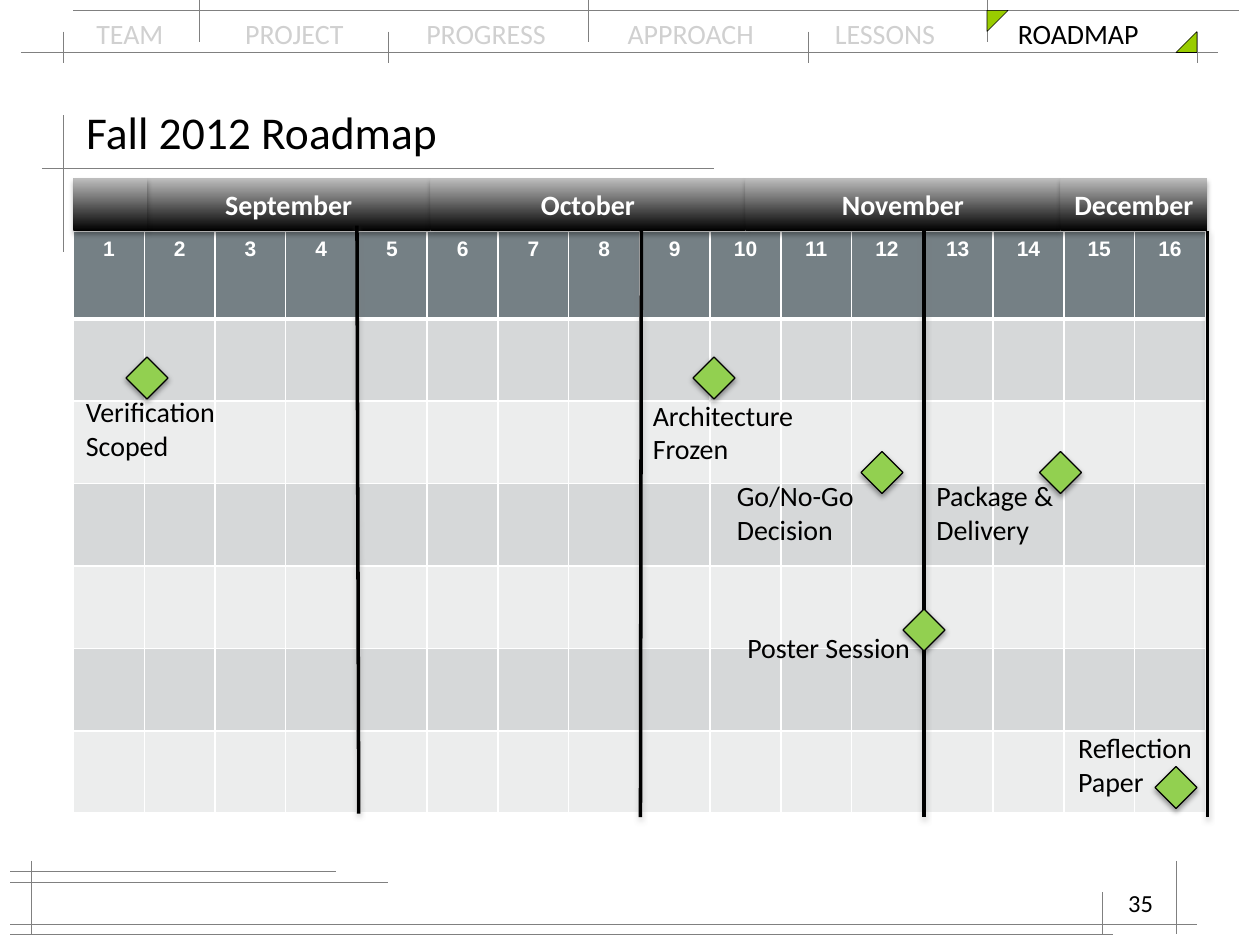
import pptx
import pptx.util
import pptx.dml.color
import pptx.enum.shapes
import pptx.enum.text
import pptx.oxml
import pptx.oxml.ns

Pt = pptx.util.Pt
SHAPE = pptx.enum.shapes.MSO_SHAPE
ALIGN = pptx.enum.text.PP_ALIGN
ANCHOR = pptx.enum.text.MSO_ANCHOR
NAMESPACE = pptx.oxml.ns.nsdecls("a")

COLORS = {
    "black": "000000", "white": "FFFFFF", "muted": "D0D0D0", "rule": "808080",
    "corner": "99CC00", "milestone": "92D050", "bar_top": "BDBDBD",
    "week": "758085", "band_dark": "D6D8D9", "band_light": "ECEDED",
}
BODY = {"name": "Calibri", "size": Pt(16)}
BAR = {**BODY, "bold": True}
TITLE = {**BODY, "size": Pt(26)}
PAGE = {**BODY, "size": Pt(14)}
WEEK = {"name": "Arial", "size": Pt(12), "bold": True}

NAVIGATION = [("TEAM", 0), ("PROJECT", 85), ("PROGRESS", 188.5),
              ("APPROACH", 303.5), ("LESSONS", 422), ("ROADMAP", 526.5)]
RULES = [
    (12, 30, 696, 30), (42, 6, 708, 6), (36, 66, 36, 144), (24, 96, 408, 96),
    (6, 504, 222, 504), (6, 528, 684, 528), (18, 492, 18, 534),
    (6, 498, 192, 498), (6, 534, 636, 534), (672, 492, 672, 534),
    (630, 510, 630, 534), (36, 18, 36, 36), (222, 18, 222, 36),
    (462, 18, 462, 36), (684, 18, 684, 36), (114, 0, 114, 24),
    (336, 0, 336, 24), (564, 0, 564, 24),
]
MONTHS = [("September", 84, 162), ("October", 246, 180),
          ("November", 426, 180), ("December", 606, 84), ("", 42, 42)]
MONTH_ENDS = [(204, 129, 205, 465), (366.5, 132, 366, 467),
              (528, 132, 528, 467), (690, 132, 690, 467)]
MILESTONES = [(72, 204), (396, 204), (492, 258), (594, 258),
              (516, 348), (660, 438)]
LABELS = [
    ("Verification\nScoped", 42, 222, 90, 46),
    ("Architecture\nFrozen", 366, 224, 108, 46),
    ("Go/No-Go\nDecision", 414, 270, 92, 46),
    ("Package &\nDelivery", 528, 270, 84, 46),
    ("Poster Session", 420, 357, 126, 27),
    ("Reflection\nPaper", 609, 414, 84, 46),
]
WEEKS = 16
TABLE_WIDTH = 647.2
HEADER_HEIGHT = 50.2
ROW_HEIGHT = 47.1
BODY_ROWS = 6


def rgb(color):
    return pptx.dml.color.RGBColor.from_string(COLORS[color])


def format_font(font, values, color):
    for name, value in values.items():
        setattr(font, name, value)
    font.color.rgb = rgb(color)


def write_text(frame, text, values, color="black", align=ALIGN.LEFT):
    frame.text = text
    for paragraph in frame.paragraphs:
        paragraph.alignment = align
        for run in paragraph.runs:
            format_font(run.font, values, color)


def add_text(slide, text, left, top, width, height, values=BODY, align=ALIGN.LEFT):
    box = slide.shapes.add_textbox(Pt(left), Pt(top), Pt(width), Pt(height))
    box.text_frame.word_wrap = True
    write_text(box.text_frame, text, values, align=align)


def add_effects(shape, color=None, opacity=38, distance=1.6):
    shadow = ""
    if color:
        shadow = (
            f'<a:outerShdw blurRad="{Pt(3.1)}" dist="{Pt(distance)}" dir="5400000" '
            f'rotWithShape="0"><a:srgbClr val="{COLORS[color]}">'
            f'<a:alpha val="{opacity * 1000}"/></a:srgbClr></a:outerShdw>')
    shape._element.spPr.append(pptx.oxml.parse_xml(
        f"<a:effectLst {NAMESPACE}>{shadow}</a:effectLst>"))


def add_line(slide, ends, color, width, shadow=None):
    line = slide.shapes.add_connector(
        pptx.enum.shapes.MSO_CONNECTOR.STRAIGHT, *[Pt(value) for value in ends])
    line.line.color.rgb = rgb(color)
    line.line.width = Pt(width)
    add_effects(line, shadow)


def add_marker(slide, kind, left, top, size, color, line_width, shadow=None):
    shape = slide.shapes.add_shape(kind, Pt(left), Pt(top), Pt(size), Pt(size))
    shape.fill.solid()
    shape.fill.fore_color.rgb = rgb(color)
    shape.line.color.rgb = rgb("black")
    shape.line.width = Pt(line_width)
    add_effects(shape, shadow)
    return shape


def add_month(slide, name, left, width):
    bar = slide.shapes.add_shape(SHAPE.RECTANGLE, Pt(left), Pt(102), Pt(width), Pt(30))
    bar.fill.gradient()
    bar.fill.gradient_angle = 90
    for stop, color in zip(bar.fill.gradient_stops, ("black", "bar_top")):
        stop.color.rgb = rgb(color)
    bar.line.fill.background()
    add_effects(bar, "black", 35, 1.8)
    if name:
        bar.text_frame.word_wrap = False
        bar.text_frame.vertical_anchor = ANCHOR.MIDDLE
        write_text(bar.text_frame, name, BAR, "white", ALIGN.CENTER)


def add_navigation(slide):
    box = slide.shapes.add_textbox(Pt(48), Pt(6), Pt(624), Pt(27))
    box.text_frame.word_wrap = True
    paragraph = box.text_frame.paragraphs[0]
    stops = "".join(f'<a:tab pos="{Pt(offset)}" algn="l"/>'
                    for _, offset in NAVIGATION[1:])
    paragraph._p.get_or_add_pPr().append(
        pptx.oxml.parse_xml(f"<a:tabLst {NAMESPACE}>{stops}</a:tabLst>"))
    for name, offset in NAVIGATION:
        run = paragraph.add_run()
        run.text = f"\t{name}" if offset else name
        format_font(run.font, BODY, "black" if name == "ROADMAP" else "muted")


def add_frame(slide):
    for ends in RULES:
        add_line(slide, ends, "rule", 0.3)
    corners = [(564, 6, "flipV"), (672, 18, "flipH")]
    for left, top, flip in corners:
        corner = add_marker(slide, SHAPE.RIGHT_TRIANGLE, left, top, 12, "corner", 0.3)
        corner._element.spPr.xfrm.set(flip, "1")


def format_cell(cell, color, top, bottom):
    properties = cell._tc.get_or_add_tcPr()
    for side, width in {"L": 1, "R": 1, "T": top, "B": bottom}.items():
        properties.append(pptx.oxml.parse_xml(
            f'<a:ln{side} {NAMESPACE} w="{Pt(width)}"><a:solidFill>'
            f'<a:srgbClr val="{COLORS["white"]}"/></a:solidFill></a:ln{side}>'))
    cell.fill.solid()
    cell.fill.fore_color.rgb = rgb(color)


def add_calendar(slide):
    height = HEADER_HEIGHT + BODY_ROWS * ROW_HEIGHT
    table = slide.shapes.add_table(
        BODY_ROWS + 1, WEEKS, Pt(42), Pt(132), Pt(TABLE_WIDTH), Pt(height)).table
    for column in table.columns:
        column.width = Pt(TABLE_WIDTH / WEEKS)
    for index, row in enumerate(table.rows):
        row.height = Pt(ROW_HEIGHT if index else HEADER_HEIGHT)
        band = "band_dark" if index % 2 else "band_light"
        for week, cell in enumerate(row.cells, 1):
            format_cell(cell, band if index else "week",
                        3 if index == 1 else 1, 1 if index else 3)
            if index == 0:
                write_text(cell.text_frame, str(week), WEEK, "white", ALIGN.CENTER)


def add_title(slide, text):
    title = slide.shapes.title
    place = {"left": 42, "top": 54, "width": 636, "height": 42}
    for name, value in place.items():
        setattr(title, name, Pt(value))
    title.text_frame.vertical_anchor = ANCHOR.MIDDLE
    write_text(title.text_frame, text, TITLE)


def main():
    presentation = pptx.Presentation()
    presentation.slide_width = Pt(720)
    presentation.slide_height = Pt(540)
    slide = presentation.slides.add_slide(presentation.slide_layouts[5])
    add_navigation(slide)
    add_frame(slide)
    add_title(slide, "Fall 2012 Roadmap")
    add_calendar(slide)
    for month in MONTHS:
        add_month(slide, *month)
    for ends in MONTH_ENDS:
        add_line(slide, ends, "black", 2, "rule")
    for left, top in MILESTONES:
        add_marker(slide, SHAPE.DIAMOND, left, top, 24, "milestone", 0.75, "black")
    for label in LABELS:
        add_text(slide, *label)
    add_text(slide, "35", 516, 504, 150, 36, PAGE, ALIGN.RIGHT)
    presentation.save("out.pptx")


if __name__ == "__main__":
    main()
